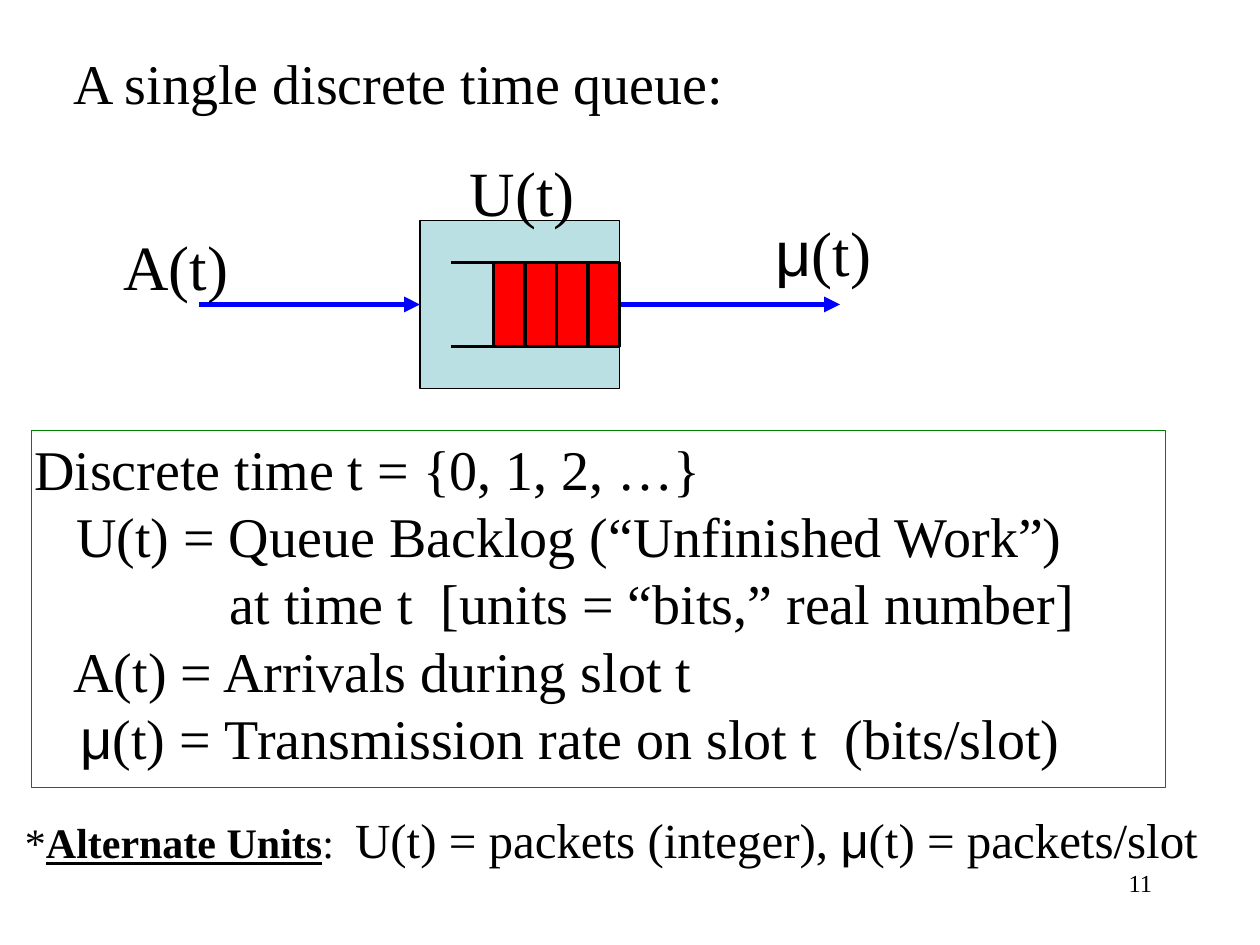
from lxml import etree
from pptx import Presentation
from pptx.dml.color import RGBColor
from pptx.enum.shapes import MSO_CONNECTOR, MSO_SHAPE
from pptx.enum.text import MSO_ANCHOR, MSO_AUTO_SIZE, PP_ALIGN
from pptx.oxml.ns import qn
from pptx.util import Pt

PX = 9525  # EMU per px, 96 px to the inch
LEFT, RIGHT = PP_ALIGN.LEFT, PP_ALIGN.RIGHT
TOP, NO_AUTOFIT = MSO_ANCHOR.TOP, MSO_AUTO_SIZE.NONE
RECTANGLE, STRAIGHT = MSO_SHAPE.RECTANGLE, MSO_CONNECTOR.STRAIGHT
SERIF, SANS = "Times New Roman", "Arial"
BLACK, BLUE, RED, GREEN, PALE = "000000", "0000FF", "FF0000", "008000", "BBE0E3"


def px(*lengths):
    return [round(length * PX) for length in lengths]


def color(hex_string):
    return RGBColor.from_string(hex_string)


def set_attributes(target, values):
    for name, value in values.items():
        setattr(target, name, value)


def write_paragraph(paragraph, runs, size, align=LEFT, indent=0):
    """Runs are strings or (string, font values) pairs."""
    properties = paragraph._p.get_or_add_pPr()
    properties.set("marL", str(indent * PX))
    properties.set("indent", "0")
    etree.SubElement(properties, qn("a:buNone"))
    set_attributes(paragraph, {"alignment": align, "space_before": Pt(0),
                               "space_after": Pt(0)})
    for item in runs:
        words, values = (item, {}) if isinstance(item, str) else item
        run = paragraph.add_run()
        run.text = words
        set_attributes(run.font, {"name": SERIF, "size": Pt(size), **values})
        run.font.color.rgb = color(BLACK)


def format_frame(holder, wrap=True):
    frame = holder.text_frame
    side, end = px(10, 5)
    set_attributes(frame, {
        "word_wrap": wrap, "auto_size": NO_AUTOFIT, "vertical_anchor": TOP,
        "margin_left": side, "margin_right": side,
        "margin_top": end, "margin_bottom": end})
    return frame


def place(holder, box):
    set_attributes(holder, dict(zip(("left", "top", "width", "height"), px(*box))))


def add_text(slide, box, runs, size, align=LEFT, wrap=True):
    frame = format_frame(slide.shapes.add_textbox(*px(*box)), wrap)
    write_paragraph(frame.paragraphs[0], runs, size, align)


def add_box(slide, box, line, weight, fill=None):
    shape = slide.shapes.add_shape(RECTANGLE, *px(*box))
    shape.shadow.inherit = False
    if fill:
        shape.fill.solid()
        shape.fill.fore_color.rgb = color(fill)
    else:
        shape.fill.background()
    shape.line.color.rgb = color(line)
    shape.line.width = Pt(weight)


def add_line(slide, start, end, line, weight, arrow=False):
    connector = slide.shapes.add_connector(STRAIGHT, *px(*start, *end))
    connector.line.color.rgb = color(line)
    connector.line.width = Pt(weight)
    if arrow:
        etree.SubElement(connector.line._get_or_add_ln(), qn("a:tailEnd"), type="triangle")
    etree.SubElement(connector._element.spPr, qn("a:effectLst"))


def add_title(slide, box):
    title = slide.shapes.title
    place(title, box)
    write_paragraph(format_frame(title).paragraphs[0],
                    ["A single discrete time queue:"], 32)


def add_definitions(slide, box):
    definitions = slide.placeholders[1]
    left, top, width, height = box
    place(definitions, (left - 8, top - 2, width - 32, height - 6))
    frame = format_frame(definitions)
    lines = [
        (0, ["Discrete time t = {0, 1, 2, …}"]),
        (32, ["U(t) = Queue Backlog (“Unfinished Work”)"]),
        (149, ["at time t  [units = “bits,” real number]"]),
        (30, ["A(t) = Arrivals during slot t"]),
        (35, [("μ", {"name": SANS}), "(t) = Transmission rate on slot t  (bits/slot)"]),
    ]
    for number, (indent, runs) in enumerate(lines):
        paragraph = frame.add_paragraph() if number else frame.paragraphs[0]
        write_paragraph(paragraph, runs, 32, indent=indent)
    add_box(slide, box, GREEN, 1)


def add_queue(slide, box):
    left, top, width, height = box
    right, middle = left + width, top + height // 2

    # Arrivals and departures
    for start in (left - 168, right):
        add_line(slide, (start, middle), (start + 168, middle), BLUE, 3, arrow=True)

    # Server with the waiting packets at its right edge
    add_box(slide, box, BLACK, 0.75, PALE)
    cell, count, half = 24, 4, 32
    for number in range(count):
        cell_left = right - cell * (count - number)
        add_box(slide, (cell_left, middle - half, cell, 2 * half), BLACK, 2, RED)
    for rail in (middle - half, middle + half):
        add_line(slide, (left + 24, rail), (right, rail), BLACK, 2)
    add_line(slide, (right, middle - half), (right, middle + half), BLACK, 2)

    # Labels in front of the server
    labels = [
        (-236, 0, 99, ["A(t)"]),
        (28, -56, 99, ["U(t)"]),
        (261, -10, 92, [("μ", {"name": SANS}), "(t)"]),
    ]
    for across, down, label_width, runs in labels:
        add_text(slide, (left + across, top + down, label_width, 67), runs, 36, wrap=False)


def add_footer(slide, box):
    left, top, width, height = box
    add_text(slide, box, [
        "*",
        ("Alternate Units", {"bold": True, "underline": True}),
        ":  ",
        ("U(t) = packets (integer), ", {"size": Pt(28)}),
        ("μ", {"size": Pt(28), "name": SANS}),
        ("(t) = packets/slot", {"size": Pt(28)}),
    ], 24)
    add_text(slide, (left + 679, top + 44, 200, 48), ["11"], 14, RIGHT)


def main():
    deck = Presentation()
    deck.slide_width, deck.slide_height = px(960, 720)
    slide = deck.slides.add_slide(deck.slide_layouts[1])
    add_title(slide, (46, 32, 517, 61))
    add_definitions(slide, (24, 328, 864, 272))
    add_queue(slide, (320, 168, 152, 128))
    add_footer(slide, (9, 612, 923, 55))
    deck.save("out.pptx")


if __name__ == "__main__":
    main()
